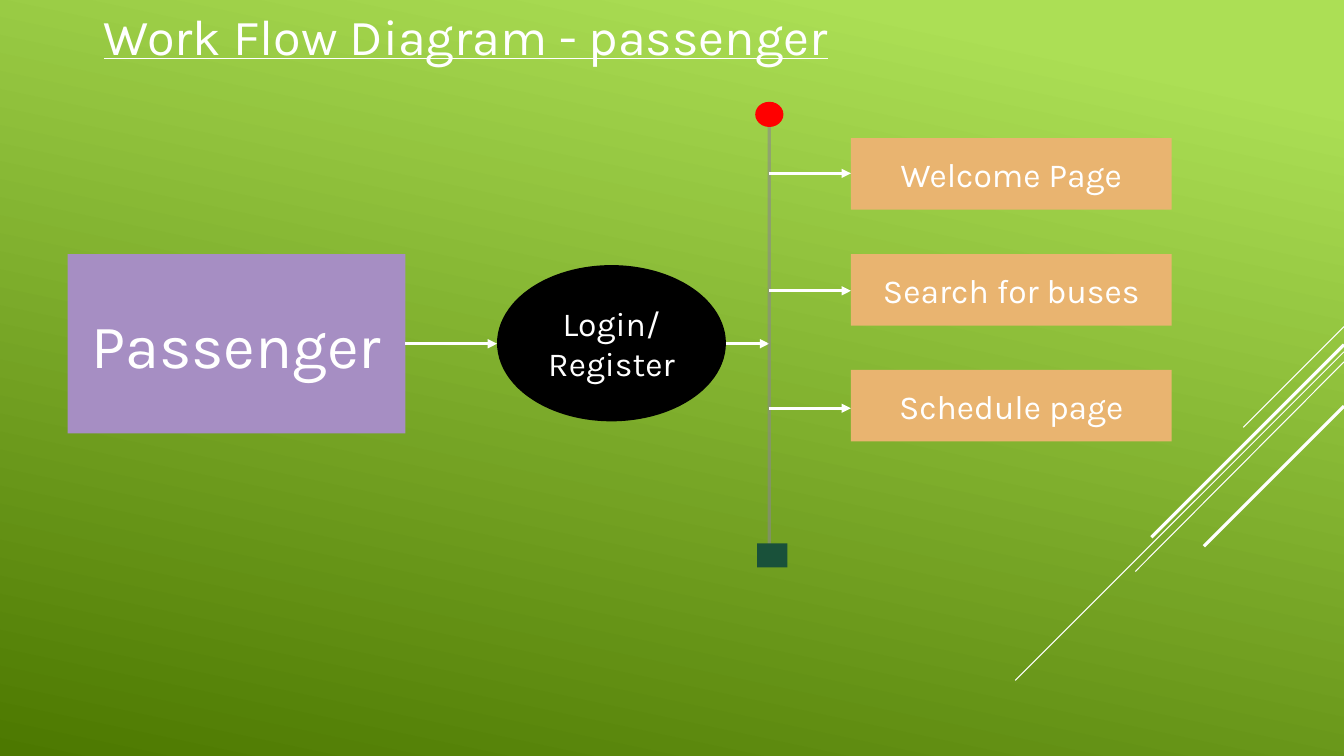
from dataclasses import dataclass

from lxml import etree
from pptx import Presentation
from pptx import util as u
from pptx.dml.color import RGBColor
from pptx.enum import shapes, text
from pptx.oxml.ns import qn
from pptx.shapes.group import GroupShape
from pptx.slide import Slide
from pptx.text.text import TextFrame

FONT = "Karla"
COLORS = {
    "light_green": "ACDF55",
    "dark_green": "4C7800",
    "white": "FFFFFF",
    "actor": "A68EC3",
    "login": "000000",
    "page": "E9B470",
    "timeline": "898989",
    "start": "FF0000",
    "end": "19513A",
}
RECT = shapes.MSO_SHAPE.RECTANGLE
OVAL = shapes.MSO_SHAPE.OVAL
TIMELINE_X = 7.63
PAGE_LEFT, PAGE_TOP, PAGE_STEP = 8.44, 1.37, 1.15
PAGES = ["Welcome Page", "Search for buses", "Schedule page"]
FLOW_Y = 3.41
BRANCH_TOP, BRANCH_STEP = 1.72, 1.165


@dataclass
class Node:
    outline: shapes.MSO_SHAPE
    left: float
    top: float
    width: float
    height: float
    color: str
    lines: tuple[str, ...] = ()
    size: int = 24


@dataclass
class Line:
    x1: float
    y1: float
    x2: float
    y2: float
    color: str = "white"
    weight: float = 2.25
    arrow: bool = False
    opacity: int = 100


STREAKS = [
    Line(13.33, 3.24, 12.33, 4.24, weight=0.75),
    Line(13.33, 3.49, 10.07, 6.75, weight=0.75),
    Line(13.33, 3.59, 11.26, 5.67, weight=0.75),
    Line(13.33, 3.42, 11.42, 5.33),
    Line(13.33, 4.03, 11.94, 5.42),
]
STEPS = [
    Node(RECT, 0.67, 2.52, 3.35, 1.78, "actor", ("Passenger",), 44),
    Node(OVAL, 4.93, 2.63, 2.27, 1.55, "login", ("Login/", "Register")),
] + [
    Node(RECT, PAGE_LEFT, PAGE_TOP + i * PAGE_STEP, 3.18, 0.71, "page", (page,))
    for i, page in enumerate(PAGES)
]
FLOWS = [
    Line(4.02, FLOW_Y, 4.93, FLOW_Y, arrow=True),
    Line(7.2, FLOW_Y, TIMELINE_X, FLOW_Y, arrow=True),
    Line(TIMELINE_X, 1.22, TIMELINE_X, 5.4, "timeline", opacity=60),
]
for i in range(len(PAGES)):
    branch_y = BRANCH_TOP + i * BRANCH_STEP
    FLOWS.append(Line(TIMELINE_X, branch_y, PAGE_LEFT, branch_y, arrow=True))
TIMELINE_ENDS = [
    Node(OVAL, 7.49, 1.01, 0.28, 0.25, "start"),
    Node(RECT, 7.51, 5.39, 0.3, 0.24, "end"),
]


def rgb(name: str) -> RGBColor:
    return RGBColor.from_string(COLORS[name])


def write_lines(
    frame: TextFrame,
    lines: tuple[str, ...],
    size: int,
    align: text.PP_ALIGN,
    underline: bool = False,
) -> None:
    """Write one paragraph per line, in the slide's white font."""
    for i, line in enumerate(lines):
        paragraph = frame.add_paragraph() if i else frame.paragraphs[0]
        paragraph.alignment = align
        run = paragraph.add_run()
        run.text = line
        run.font.name = FONT
        run.font.size = u.Pt(size)
        run.font.color.rgb = rgb("white")
        if underline:
            run.font.underline = True


def draw_node(group: GroupShape, node: Node) -> None:
    box = group.shapes.add_shape(
        node.outline,
        u.Inches(node.left),
        u.Inches(node.top),
        u.Inches(node.width),
        u.Inches(node.height),
    )
    box.shadow.inherit = False
    box.fill.solid()
    box.fill.fore_color.rgb = rgb(node.color)
    box.line.fill.background()
    box.text_frame.word_wrap = True
    box.text_frame.vertical_anchor = text.MSO_ANCHOR.MIDDLE
    write_lines(box.text_frame, node.lines, node.size, text.PP_ALIGN.CENTER)


def draw_line(group: GroupShape, line: Line) -> None:
    connector = group.shapes.add_connector(
        shapes.MSO_CONNECTOR.STRAIGHT,
        u.Inches(line.x1),
        u.Inches(line.y1),
        u.Inches(line.x2),
        u.Inches(line.y2),
    )
    connector.line.width = u.Pt(line.weight)
    connector.line.color.rgb = rgb(line.color)
    properties = connector.element.spPr
    stroke = properties.find(qn("a:ln"))
    if line.opacity < 100:
        color = stroke.find(".//" + qn("a:srgbClr"))
        etree.SubElement(color, qn("a:alpha"), val=str(line.opacity * 1000))
    if line.arrow:
        etree.SubElement(stroke, qn("a:tailEnd"), type="triangle")
    etree.SubElement(properties, qn("a:effectLst"))


def paint_background(slide: Slide) -> None:
    fill = slide.background.fill
    fill.gradient()
    fill.gradient_angle = 258
    stops = [(0.1, "light_green"), (1.0, "dark_green")]
    for stop, (position, color) in zip(fill.gradient_stops, stops):
        stop.position = position
        stop.color.rgb = rgb(color)


def write_title(slide: Slide) -> None:
    title = slide.shapes.title
    title.left, title.top = u.Inches(0.93), u.Inches(0)
    title.width, title.height = u.Inches(12.12), u.Inches(0.71)
    frame = title.text_frame
    frame.word_wrap = True
    frame.auto_size = text.MSO_AUTO_SIZE.SHAPE_TO_FIT_TEXT
    frame.vertical_anchor = text.MSO_ANCHOR.TOP
    write_lines(
        frame, ("Work Flow Diagram - passenger",), 36, text.PP_ALIGN.LEFT, underline=True
    )


def main() -> None:
    deck = Presentation()
    deck.slide_width, deck.slide_height = u.Inches(13.33), u.Inches(7.5)
    slide = deck.slides.add_slide(deck.slide_layouts.get_by_name("Title Only"))
    paint_background(slide)
    write_title(slide)

    streaks = slide.shapes.add_group_shape()
    for streak in STREAKS:
        draw_line(streaks, streak)

    workflow = slide.shapes.add_group_shape()
    for step in STEPS:
        draw_node(workflow, step)
    for flow in FLOWS:
        draw_line(workflow, flow)
    for end in TIMELINE_ENDS:
        draw_node(workflow, end)

    deck.save("out.pptx")


if __name__ == "__main__":
    main()
